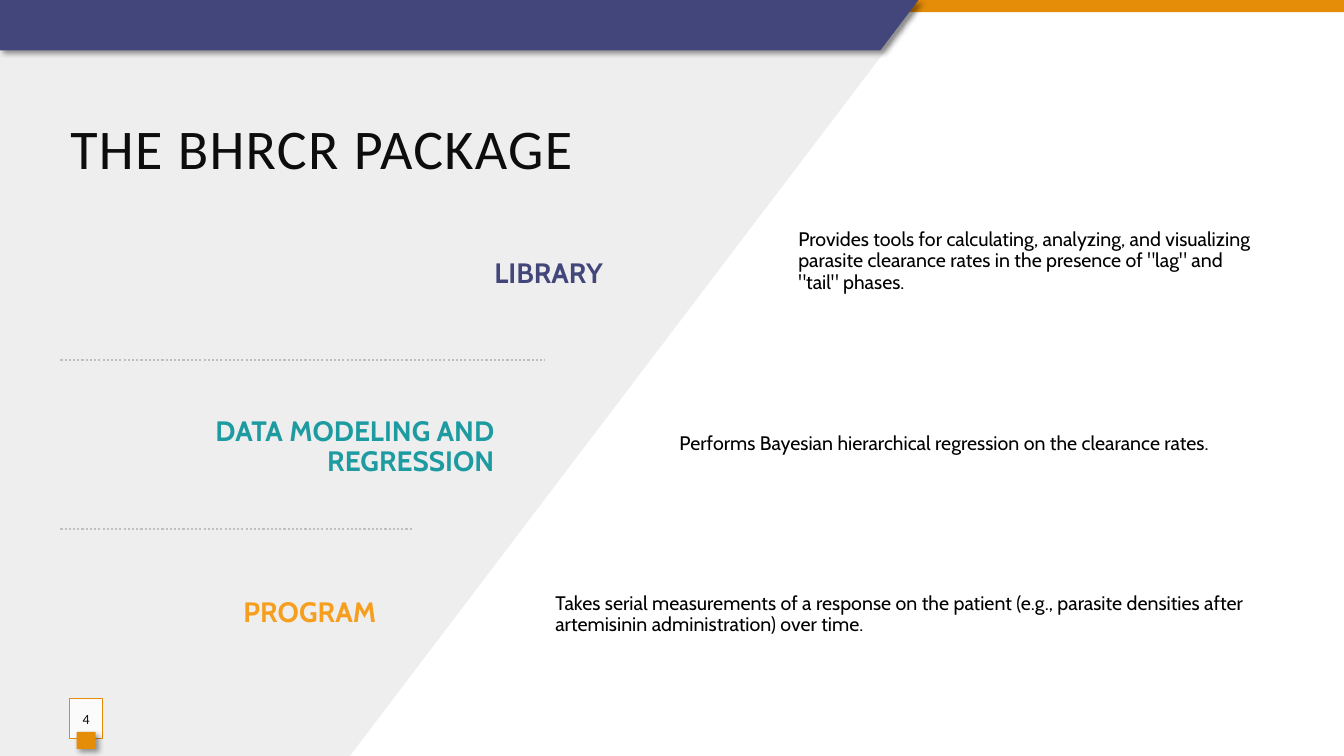
from lxml import etree
from pptx import Presentation
from pptx.dml.color import RGBColor
from pptx.enum.dml import MSO_LINE
from pptx.enum.shapes import MSO_CONNECTOR, MSO_SHAPE
from pptx.enum.text import MSO_ANCHOR, PP_ALIGN
from pptx.oxml.ns import qn
from pptx.util import Inches, Pt

WIDE, HIGH = Inches(13.33), Inches(7.5)
GREY = RGBColor(0xEE, 0xEE, 0xEE)
NAVY = RGBColor(0x43, 0x46, 0x7B)
TEAL = RGBColor(0x1D, 0x9B, 0xA1)
GOLD = RGBColor(0xF6, 0x9E, 0x1D)
AMBER = RGBColor(0xE5, 0x8C, 0x09)
INK = RGBColor(0x0D, 0x0D, 0x0D)
DOT = RGBColor(0xBF, 0xBF, 0xBF)
BLACK = RGBColor(0, 0, 0)
WHITE = RGBColor(255, 255, 255)
LEFT, RIGHT, CENTER = PP_ALIGN.LEFT, PP_ALIGN.RIGHT, PP_ALIGN.CENTER
TOP, MIDDLE = MSO_ANCHOR.TOP, MSO_ANCHOR.MIDDLE
RECT = MSO_SHAPE.RECTANGLE
STRAIGHT = MSO_CONNECTOR.STRAIGHT
DOTTED = MSO_LINE.ROUND_DOT

MARGIN, EDGE = 4.5, 94.05
LABEL, BODY = 6.13, 13.33
ROWS = [
    ("LIBRARY", NAVY, 5.1, 45.61, 33.2, 58.66, 29.73, TOP,
     "Provides tools for calculating, analyzing, and visualizing parasite "
     "clearance rates in the presence of \"lag\" and \"tail\" phases."),
    ("DATA MODELING AND REGRESSION", TEAL, MARGIN, 37.51, 56.13, 49.81, 52.13,
     MIDDLE, "Performs Bayesian hierarchical regression on the clearance rates."),
    ("PROGRAM", GOLD, MARGIN, 28.73, 78.13, 40.58, 74.67, MIDDLE,
     "Takes serial measurements of a response on the patient (e.g., parasite "
     "densities after artemisinin administration) over time."),
]
RULES = [(40.51, 47.6), (30.76, 70)]


def across(share):
    return round(WIDE * share / 100)


def down(share):
    return round(HIGH * share / 100)


def place(x, y, wide, high):
    return across(x), down(y), across(wide), down(high)


def paint(shape, color):
    shape.shadow.inherit = False
    shape.fill.solid()
    shape.fill.fore_color.rgb = color
    shape.line.fill.background()
    return shape


def shade(shape):
    effects = shape._element.spPr.find(qn("a:effectLst"))
    outer = etree.SubElement(effects, qn("a:outerShdw"), blurRad=str(Pt(4)),
                             dist=str(Pt(3)), dir="2700000", rotWithShape="0")
    color = etree.SubElement(outer, qn("a:srgbClr"), val="000000")
    etree.SubElement(color, qn("a:alpha"), val="40000")


def add_block(slide, box, color):
    return paint(slide.shapes.add_shape(RECT, *place(*box)), color)


def add_slant(slide, points, color):
    spots = [(across(x), down(y)) for x, y in points]
    form = slide.shapes.build_freeform(*spots[0], scale=1.0)
    form.add_line_segments(spots[1:], close=True)
    return paint(form.convert_to_shape(), color)


def write(shape, text, size, color, face="Cabin", align=LEFT, anchor=MIDDLE,
          bold=False, pitch=0.9):
    frame = shape.text_frame
    frame.word_wrap = True
    frame.vertical_anchor = anchor
    para = frame.paragraphs[0]
    para.text = text
    para.alignment = align
    para.line_spacing = pitch
    font = para.font
    font.name, font.size, font.bold = face, Pt(size), bold
    font.color.rgb = color
    return para


def add_text(slide, box, *words, **style):
    return write(slide.shapes.add_textbox(*place(*box)), *words, **style)


def add_rule(slide, end, y):
    rule = slide.shapes.add_connector(STRAIGHT, across(MARGIN), down(y),
                                      across(end), down(y))
    rule.line.color.rgb = DOT
    rule.line.width = Pt(1.5)
    rule.line.dash_style = DOTTED
    etree.SubElement(rule._element.spPr, qn("a:effectLst"))


def add_badge(slide, number):
    badge = add_block(slide, (5.18, 92.4, 2.48, 5.33), WHITE)
    tint = badge._element.spPr.find(qn("a:solidFill"))[0]
    etree.SubElement(tint, qn("a:alpha"), val="82000")
    badge.line.color.rgb = AMBER
    badge.line.width = Pt(0.75)
    badge.text_frame.margin_left = badge.text_frame.margin_right = 0
    write(badge, number, 10, INK, face="Calibri", align=CENTER, pitch=1.0)
    shade(add_block(slide, (5.7, 96.8, 1.43, 2.27), AMBER))


def main():
    deck = Presentation()
    deck.slide_width, deck.slide_height = WIDE, HIGH
    slide = deck.slides.add_slide(deck.slide_layouts[6])
    add_slant(slide, [(0, 0), (68.34, 0), (68.34, 0.93), (26.03, 100), (0, 100)],
              GREY)
    add_block(slide, (0, 0, 100, 1.6), AMBER)
    shade(add_slant(slide, [(0, 0), (68.34, 0), (65.49, 6.67), (0, 6.67)], NAVY))
    title = add_text(slide, (MARGIN, 14.4, 88.67, 10.27), "THE BHRCR PACKAGE",
                     40, INK, face="Calibri", anchor=TOP, pitch=1.0)
    title.runs[0].font._element.set("spc", "100")
    for name, color, left, right, y, start, top, anchor, detail in ROWS:
        add_text(slide, (start, top, EDGE - start, BODY), detail, 14, BLACK,
                 anchor=anchor)
        add_text(slide, (left, y, right - left, LABEL), name, 20, color,
                 align=RIGHT, bold=True)
    add_badge(slide, "4")
    for end, y in RULES:
        add_rule(slide, end, y)
    deck.save("out.pptx")


if __name__ == "__main__":
    main()
